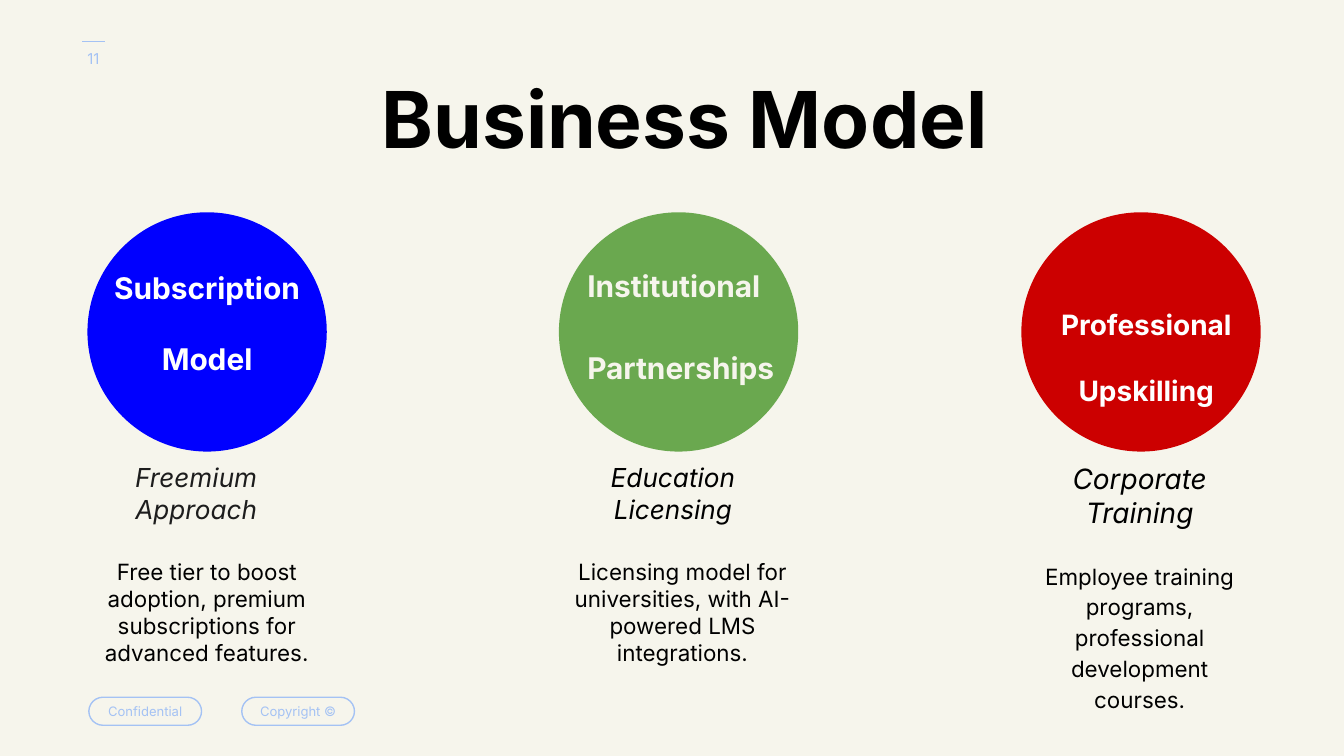
import pptx
import pptx.util
import pptx.dml.color
import pptx.enum.shapes
import pptx.enum.text

Cm = pptx.util.Cm
Pt = pptx.util.Pt
RGB = pptx.dml.color.RGBColor
ALIGN = pptx.enum.text.PP_ALIGN
ANCHOR = pptx.enum.text.MSO_ANCHOR

FONT = "Inter"
CREAM = RGB(0xF6, 0xF5, 0xEC)
PALE = RGB(0xA4, 0xC2, 0xF4)
BLACK = RGB(0, 0, 0)
DARK = RGB(0x1D, 0x1D, 0x1D)
WHITE = RGB(0xFF, 0xFF, 0xFF)
BLUE = RGB(0, 0, 0xFF)
GREEN = RGB(0x6A, 0xA8, 0x4F)
RED = RGB(0xCC, 0, 0)


def fill_text(frame, text, size, color, align=ALIGN.CENTER, anchor=ANCHOR.TOP,
              bold=False, italic=False, space=1.0, gap=0):
    """Write one paragraph per line of text, with gap points between them."""
    frame.text = text
    frame.word_wrap = True
    frame.auto_size = pptx.enum.text.MSO_AUTO_SIZE.NONE
    frame.vertical_anchor = anchor
    frame.margin_left = frame.margin_right = Cm(0.25)
    frame.margin_top = frame.margin_bottom = Cm(0.25)
    for index, para in enumerate(frame.paragraphs):
        para.alignment = align
        para.line_spacing = space
        para.space_before = Pt(gap if index else 0)
        for run in para.runs:
            font = run.font
            font.name, font.size = FONT, Pt(size)
            font.bold, font.italic = bold, italic
            font.color.rgb = color


def add_text(slide, x, y, w, h, text, size, color, **style):
    box = slide.shapes.add_textbox(Cm(x), Cm(y), Cm(w), Cm(h))
    fill_text(box.text_frame, text, size, color, **style)


def add_round(slide, x, y, w, h, line, width, fill=None):
    """Add a shape with fully rounded ends; a square one is a circle."""
    shape = slide.shapes.add_shape(
        pptx.enum.shapes.MSO_SHAPE.ROUNDED_RECTANGLE, Cm(x), Cm(y), Cm(w), Cm(h))
    shape.adjustments[0] = 0.5
    shape.shadow.inherit = False
    shape.line.color.rgb = line
    shape.line.width = Pt(width)
    if fill is None:
        shape.fill.background()
    else:
        shape.fill.solid()
        shape.fill.fore_color.rgb = fill
    return shape


def add_title(slide, text):
    title = slide.shapes.title
    title.left, title.top = Cm(6.96), Cm(1.42)
    title.width, title.height = Cm(13.72), Cm(2.31)
    fill_text(title.text_frame, text, 42, BLACK, align=ALIGN.LEFT,
              bold=True, space=0.8)


def add_frame(slide):
    """Add the page number with its rule, and the two footer pills."""
    add_text(slide, 1.17, 0.56, 1.19, 1.09, "11", 8, PALE, anchor=ANCHOR.MIDDLE)
    rule = slide.shapes.add_connector(
        pptx.enum.shapes.MSO_CONNECTOR.STRAIGHT,
        Cm(1.98), Cm(0.79), Cm(1.55), Cm(0.79))
    rule.line.color.rgb = PALE
    rule.line.width = Pt(0.75)
    rule._element.spPr.append(pptx.oxml.parse_xml(
        '<a:effectLst xmlns:a='
        '"http://schemas.openxmlformats.org/drawingml/2006/main"/>'))
    for x, text in ((1.68, "Confidential"), (4.57, "Copyright ©")):
        pill = add_round(slide, x, 13.18, 2.13, 0.53, PALE, 0.75)
        fill_text(pill.text_frame, text, 7, PALE, anchor=ANCHOR.MIDDLE)
        pill.text_frame.word_wrap = False


def add_model(slide, x, color, label, sub, body):
    """Add a column: circle at x, its label, a subtitle and body text.

    Each text is (x, y, text, size, color, style), or without y below the circle.
    """
    add_round(slide, x, 4.04, 4.47, 4.47, color, 1.5, color)
    left, top, text, size, ink, style = label
    add_text(slide, left, top, 4.47, 2.75, text, size, ink, bold=True, **style)
    left, text, size, ink = sub
    add_text(slide, left, 8.48, 4.06, 1.85, text, size, ink, italic=True)
    left, text, space = body
    add_text(slide, left, 10.31, 4.72, 2.44, text, 12, BLACK, space=space)


def main():
    deck = pptx.Presentation()
    deck.slide_width, deck.slide_height = Cm(25.4), Cm(14.29)
    slide = deck.slides.add_slide(deck.slide_layouts[5])
    slide.background.fill.solid()
    slide.background.fill.fore_color.rgb = CREAM

    add_frame(slide)
    add_title(slide, "Business Model")
    add_model(
        slide, 1.68, BLUE,
        (1.68, 4.85, "Subscription\nModel", 16, WHITE, {"gap": 19}),
        (1.68, "Freemium Approach", 14, DARK),
        (1.55, "Free tier to boost adoption, premium subscriptions for "
               "advanced features.", 1.0))
    add_model(
        slide, 10.59, GREEN,
        (10.85, 4.81, "Institutional\nPartnerships", 16, CREAM,
         {"gap": 24.5, "align": ALIGN.LEFT}),
        (10.69, "Education\nLicensing", 14, BLACK),
        (10.54, "Licensing model for universities, with AI-powered LMS "
                "integrations.", 1.0))
    add_model(
        slide, 19.33, RED,
        (19.43, 5.56, "Professional\nUpskilling", 15, WHITE, {"gap": 17.5}),
        (19.51, "Corporate Training", 15, BLACK),
        (19.18, "Employee training programs, professional development "
                "courses.", 1.15))
    deck.save("out.pptx")


if __name__ == "__main__":
    main()
